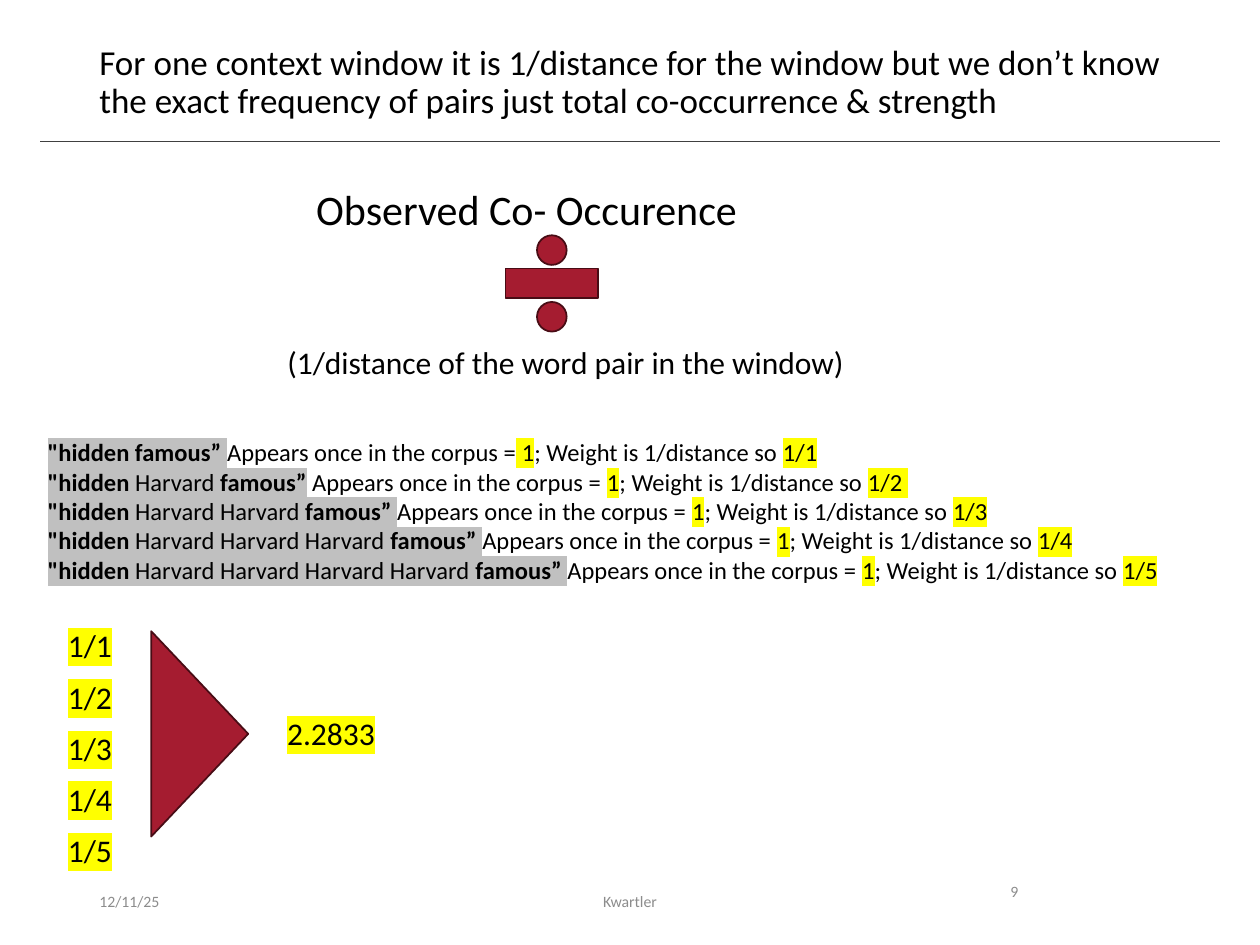
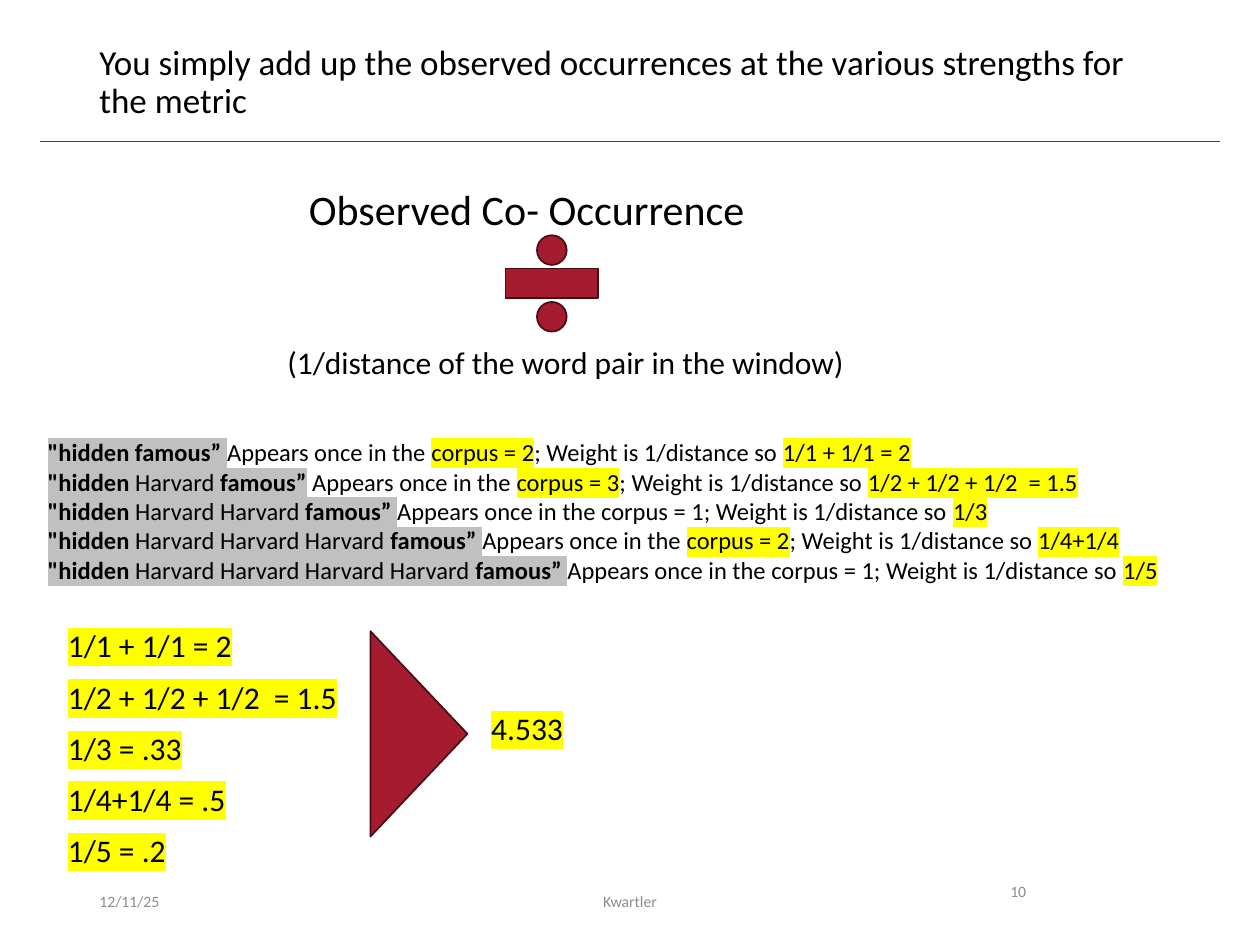
from lxml import etree
from pptx import Presentation
from pptx.dml.color import RGBColor
from pptx.enum.shapes import MSO_CONNECTOR, MSO_SHAPE
from pptx.enum.text import MSO_ANCHOR, MSO_AUTO_SIZE, PP_ALIGN
from pptx.oxml.ns import qn
from pptx.util import Emu, Pt

CENTER, LEFT = PP_ALIGN.CENTER, PP_ALIGN.LEFT
MIDDLE, TOP = MSO_ANCHOR.MIDDLE, MSO_ANCHOR.TOP
DIVIDE, TRIANGLE = MSO_SHAPE.MATH_DIVIDE, MSO_SHAPE.ISOSCELES_TRIANGLE
STRAIGHT = MSO_CONNECTOR.STRAIGHT
FIT = MSO_AUTO_SIZE.SHAPE_TO_FIT_TEXT

FONT = "Calibri"
BLACK, RULE, MUTED = "000000", "404040", "8C8C8C"
CRIMSON, DARK_CRIMSON = "A51C30", "480C15"
YELLOW, SILVER = "FFFF00", "C0C0C0"
EMU_PER_PX = 9144  # 100 px to the inch
WEIGHT_IS = "; Weight is 1/distance so "


def px(n):
    return Emu(round(n * EMU_PER_PX))


def rgb(color):
    return RGBColor.from_string(color)


def add_run(p, text, size, color=BLACK, bold=False, mark=None):
    """Add a run; mark is its highlight colour."""
    r = p.add_run()
    r.text = text
    r.font.size, r.font.bold, r.font.name = Pt(size), bold, FONT
    r.font.color.rgb = rgb(color)
    if mark:
        highlight = etree.Element(qn("a:highlight"))
        etree.SubElement(highlight, qn("a:srgbClr"), val=mark)
        r.font._element.find(qn("a:solidFill")).addnext(highlight)


def add_text(s, box, lines, size, align=LEFT, anchor=TOP, spacing=None,
             wrap=True, grow=False, **style):
    """Add a text box; each line is a string or a list of (text, bold, mark)."""
    tf = s.shapes.add_textbox(*map(px, box)).text_frame
    tf.word_wrap, tf.vertical_anchor = wrap, anchor
    if grow:
        tf.auto_size = FIT
    for i, line in enumerate(lines):
        p = tf.add_paragraph() if i else tf.paragraphs[0]
        p.alignment, p.line_spacing = align, spacing
        if isinstance(line, str):
            add_run(p, line, size, **style)
        else:
            for text, bold, mark in line:
                add_run(p, text, size, bold=bold, mark=mark)


def add_crimson_shape(s, kind, box, rotation=0):
    sp = s.shapes.add_shape(kind, *map(px, box))
    sp.shadow.inherit = False
    sp.rotation = rotation
    sp.fill.solid()
    sp.fill.fore_color.rgb = rgb(CRIMSON)
    sp.line.color.rgb = rgb(DARK_CRIMSON)
    sp.line.width = Pt(1)


def add_frame(s, title, number):
    """Add the title, its rule and the footer."""
    rule = s.shapes.add_connector(STRAIGHT, px(32), px(112), px(968), px(112))
    rule.line.color.rgb = rgb(RULE)
    rule.line.width = Pt(0.5)
    etree.SubElement(rule._element.spPr, qn("a:effectLst"))
    add_text(s, (69, 31, 862, 65), [title], 20, spacing=0.9)
    add_text(s, (69, 695, 225, 40), ["12/11/25"], 9, anchor=MIDDLE, color=MUTED)
    add_text(s, (331, 695, 338, 40), ["Kwartler"], 9, CENTER, MIDDLE, color=MUTED)
    add_text(s, (792, 695, 94, 40), [str(number)], 9, color=MUTED)


def add_formula(s, left, top, numerator):
    add_text(s, (left + 19, top, 400, 50), [numerator], 24, CENTER,
             wrap=False, grow=True)
    add_crimson_shape(s, DIVIDE, (left + 189, top + 34, 100, 100))
    add_text(s, (left, top + 126, 500, 40),
             ["(1/distance of the word pair in the window)"], 18, CENTER, grow=True)


def pair_runs(gap):
    """Runs for the word pair with gap words between its ends."""
    if gap == 0:
        return [('"hidden famous” ', True, SILVER)]
    runs = [('"hidden ', True, SILVER),
            (" ".join(["Harvard"] * gap), False, SILVER),
            (" famous”", True, SILVER)]
    return runs + [(" ", True, None if gap == 1 else SILVER)]


def add_pair_list(s, box, counts, weights):
    """Each count is a plain part and a highlighted part, which may be empty."""
    lines = []
    for gap, ((plain, marked), weight) in enumerate(zip(counts, weights)):
        line = pair_runs(gap) + [("Appears once in the " + plain, False, None),
                                 (marked, False, YELLOW),
                                 (WEIGHT_IS, False, None),
                                 (weight, False, YELLOW)]
        lines.append([run for run in line if run[0]])
    add_text(s, box, lines, 14, grow=True)


def add_sum(s, left, top, terms, arrow_x, total, total_at):
    """Stack the terms, point a triangle away from them and state the total."""
    for i, term in enumerate(terms):
        add_text(s, (left, top + round(i * 40.75), 500, 40), [term], 18,
                 grow=True, mark=YELLOW)
    add_crimson_shape(s, TRIANGLE, (left + arrow_x, top + 52, 163, 77), 90)
    dx, dy = total_at
    add_text(s, (left + dx, top + dy, 108, 40), [total], 18, grow=True, mark=YELLOW)


def add_metric_slide(prs, number, title, numerator, counts, weights, **sum_parts):
    s = prs.slides.add_slide(prs.slide_layouts[6])
    add_frame(s, title, number)
    add_formula(s, 199, 141, numerator)
    add_pair_list(s, (28, 342, 919, 128), counts, weights)
    add_sum(s, 44, 492, **sum_parts)


def main():
    prs = Presentation()
    prs.slide_width, prs.slide_height = px(1000), px(750)
    add_metric_slide(
        prs, 9,
        "For one context window it is 1/distance for the window but we don’t know "
        "the exact frequency of pairs just total co-occurrence & strength",
        "Observed Co- Occurence",
        [("corpus =", " 1")] + [("corpus = ", "1")] * 4,
        ["1/1", "1/2 ", "1/3", "1/4", "1/5"],
        terms=[f"1/{n}" for n in range(1, 6)],
        arrow_x=33, total="2.2833", total_at=(174, 70))
    add_metric_slide(
        prs, 10,
        "You simply add up the observed occurrences at the various strengths "
        "for the metric",
        "Observed Co- Occurrence",
        [("", "corpus = 2"), ("", "corpus = 3"), ("corpus = 1", ""),
         ("", "corpus = 2"), ("corpus = 1", "")],
        ["1/1 + 1/1 = 2", "1/2 + 1/2 + 1/2  = 1.5", "1/3", "1/4+1/4", "1/5"],
        terms=["1/1 + 1/1 = 2", "1/2 + 1/2 + 1/2  = 1.5", "1/3 = .33",
               "1/4+1/4 = .5", "1/5 = .2"],
        arrow_x=207, total="4.533", total_at=(336, 66))
    prs.save("out.pptx")


if __name__ == "__main__":
    main()
